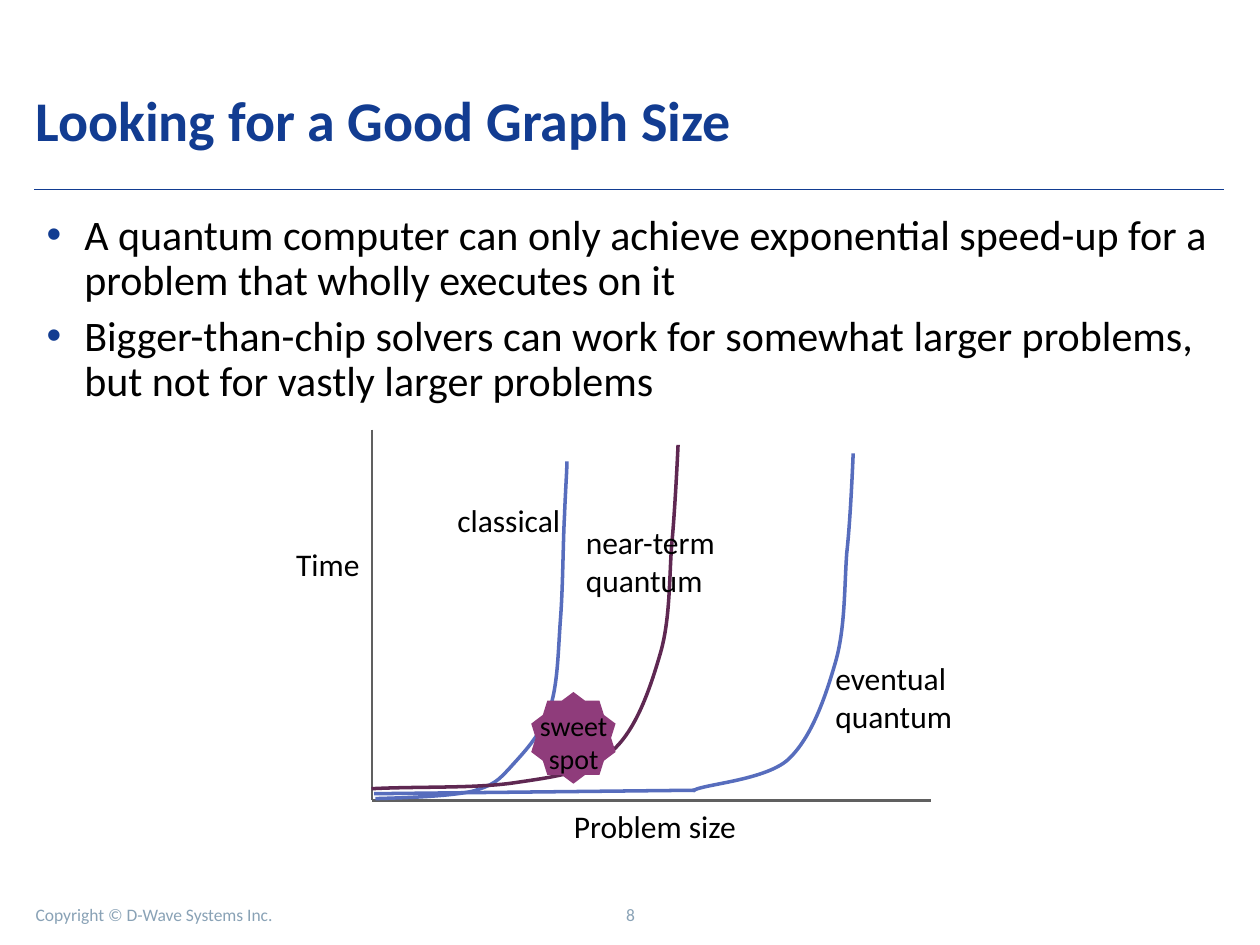
"""Build the slide on choosing a good graph size for quantum solvers."""
from lxml import etree
from pptx import Presentation
from pptx import util as u
from pptx.dml.color import RGBColor
from pptx.enum import shapes, text
from pptx.oxml.ns import qn

NAVY = RGBColor(0x12, 0x3C, 0x91)
BLACK = RGBColor(0, 0, 0)
FOOTER_GREY = RGBColor(0x89, 0xA2, 0xB6)
AXIS_GREY = RGBColor(0x60, 0x60, 0x60)
BLUE = RGBColor(0x57, 0x6D, 0xBD)
PLUM = RGBColor(0x5F, 0x28, 0x52)
PURPLE = RGBColor(0x8F, 0x3C, 0x7B)
LEFT, CENTER = text.PP_ALIGN.LEFT, text.PP_ALIGN.CENTER

prs = Presentation()
prs.slide_width, prs.slide_height = u.Cm(25.4), u.Cm(19.05)
slide = prs.slides.add_slide(prs.slide_layouts[5])


def add_text(wording, left, top, width, height, size, color=BLACK, align=LEFT):
    box = slide.shapes.add_textbox(u.Cm(left), u.Cm(top), u.Cm(width), u.Cm(height))
    box.text_frame.text = wording
    paragraph = box.text_frame.paragraphs[0]
    paragraph.alignment = align
    for run in paragraph.runs:
        run.font.size = u.Pt(size)
        run.font.name = "Calibri"
        run.font.color.rgb = color
    return box.text_frame


def add_line(x1, y1, x2, y2, color, weight):
    line = slide.shapes.add_connector(
        shapes.MSO_CONNECTOR.STRAIGHT, u.Cm(x1), u.Cm(y1), u.Cm(x2), u.Cm(y2))
    line.line.color.rgb = color
    line.line.width = u.Pt(weight)
    etree.SubElement(line._element.spPr, qn("a:effectLst"))


title = slide.shapes.title
title.left, title.top = u.Cm(0.71), u.Cm(1.18)
title.width, title.height = u.Cm(23.98), u.Cm(2.46)
heading = title.text_frame
heading.text = "Looking for a Good Graph Size"
heading.margin_left = heading.margin_right = heading.margin_top = heading.margin_bottom = 0
heading.vertical_anchor = text.MSO_ANCHOR.MIDDLE
heading.paragraphs[0].alignment = LEFT
heading_font = heading.paragraphs[0].runs[0].font
heading_font.name, heading_font.size, heading_font.bold = "Calibri", u.Pt(32), True
heading_font.color.rgb = NAVY

for wording, left, width, align in (
    ("Copyright © D-Wave Systems Inc.", 0.72, 10.57, LEFT),
    ("8", 12.34, 0.74, CENTER),
):
    footer = add_text(wording, left, 18.09, width, 0.69, 10, FOOTER_GREY, align)
    footer.margin_left = footer.margin_right = 0
add_line(0.69, 3.82, 24.67, 3.82, NAVY, 0.75)

for point, top, height in (
    ("A quantum computer can only achieve exponential speed-up for a "
     "problem that wholly executes on it", 4.19, 1.98),
    ("Bigger-than-chip solvers can work for somewhat larger problems, "
     "but not for vastly larger problems", 6.22, 5.69),
):
    body = add_text(point, 0.69, top, 24, height, 24)
    body.word_wrap = True
    body.paragraphs[0].line_spacing = 0.9
    properties = body.paragraphs[0]._p.get_or_add_pPr()
    properties.set("marL", str(u.Cm(0.76)))
    properties.set("indent", str(-u.Cm(0.76)))
    bullet_color = etree.SubElement(properties, qn("a:buClr"))
    etree.SubElement(bullet_color, qn("a:srgbClr"), val=str(NAVY))
    etree.SubElement(properties, qn("a:buFont"), typeface="Arial")
    etree.SubElement(properties, qn("a:buChar"), char="•")

add_line(7.5, 8.66, 7.5, 16.13, AXIS_GREY, 1.5)
add_line(7.5, 16.14, 18.77, 16.14, AXIS_GREY, 1.5)
add_line(7.54, 16, 14.02, 15.93, BLUE, 2)

classical = [
    (7.57, 16.1), (8.31, 16.08), (9.07, 16.05), (9.53, 15.95),
    (9.96, 15.82), (10.03, 15.75), (10.29, 15.47),
    (10.54, 15.19), (10.9, 14.83), (11.07, 14.33),
    (11.25, 13.82), (11.25, 13.13), (11.3, 12.47),
    (11.35, 11.81), (11.35, 10.95), (11.38, 10.41),
    (11.4, 9.88), (11.43, 9.47), (11.43, 9.3)]
near_term = [
    (7.49, 15.9), (8.48, 15.85), (9.63, 15.9), (10.44, 15.77),
    (11.25, 15.65), (11.86, 15.57), (12.34, 15.14),
    (12.83, 14.71), (13.11, 13.87), (13.31, 13.18),
    (13.51, 12.5), (13.49, 11.68), (13.54, 11),
    (13.61, 10.29), (13.67, 8.97), (13.67, 8.97)]
eventual = [
    (13.97, 15.95), (14.05, 15.82), (15.39, 15.75), (15.88, 15.32),
    (16.36, 14.88), (16.64, 14.05), (16.84, 13.36),
    (17.04, 12.67), (17.02, 11.86), (17.07, 11.15),
    (17.15, 10.46), (17.2, 9.14), (17.2, 9.14)]

for controls, color in ((classical, BLUE), (near_term, PLUM), (eventual, BLUE)):
    start, *rest = [(u.Cm(x), u.Cm(y)) for x, y in controls]
    builder = slide.shapes.build_freeform(*start)
    builder.add_line_segments(rest, close=False)
    curve = builder.convert_to_shape()
    outline = next(curve._element.iter(qn("a:path")))
    segments = outline.findall(qn("a:lnTo"))
    for first in range(0, len(segments), 3):
        bezier = etree.SubElement(outline, qn("a:cubicBezTo"))
        for segment in segments[first:first + 3]:
            bezier.append(segment[0])
            outline.remove(segment)
    curve.fill.background()
    curve.line.color.rgb = color
    curve.line.width = u.Pt(2)
    curve.shadow.inherit = False

star = slide.shapes.add_shape(
    shapes.MSO_SHAPE.STAR_10_POINT, u.Cm(10.71), u.Cm(13.95), u.Cm(1.7), u.Cm(1.85))
star.fill.solid()
star.fill.fore_color.rgb = PURPLE
star.line.fill.background()
star.shadow.inherit = False

for wording, left, top, width, height, size, align in (
    ("Problem size", 11.32, 16.14, 3.81, 1.02, 18, LEFT),
    ("Time", 5.72, 10.86, 1.8, 1.02, 18, LEFT),
    ("classical", 8.97, 9.98, 2.62, 1.02, 18, LEFT),
    ("eventual\vquantum", 16.59, 13.16, 2.9, 1.8, 18, LEFT),
    ("near-term\vquantum", 11.56, 10.42, 3.15, 1.8, 18, LEFT),
    ("sweet\vspot", 10.61, 14.15, 1.91, 1.63, 16, CENTER),
):
    label = add_text(wording, left, top, width, height, size, align=align)
    label.word_wrap = False
    label.auto_size = text.MSO_AUTO_SIZE.SHAPE_TO_FIT_TEXT

prs.save("out.pptx")
